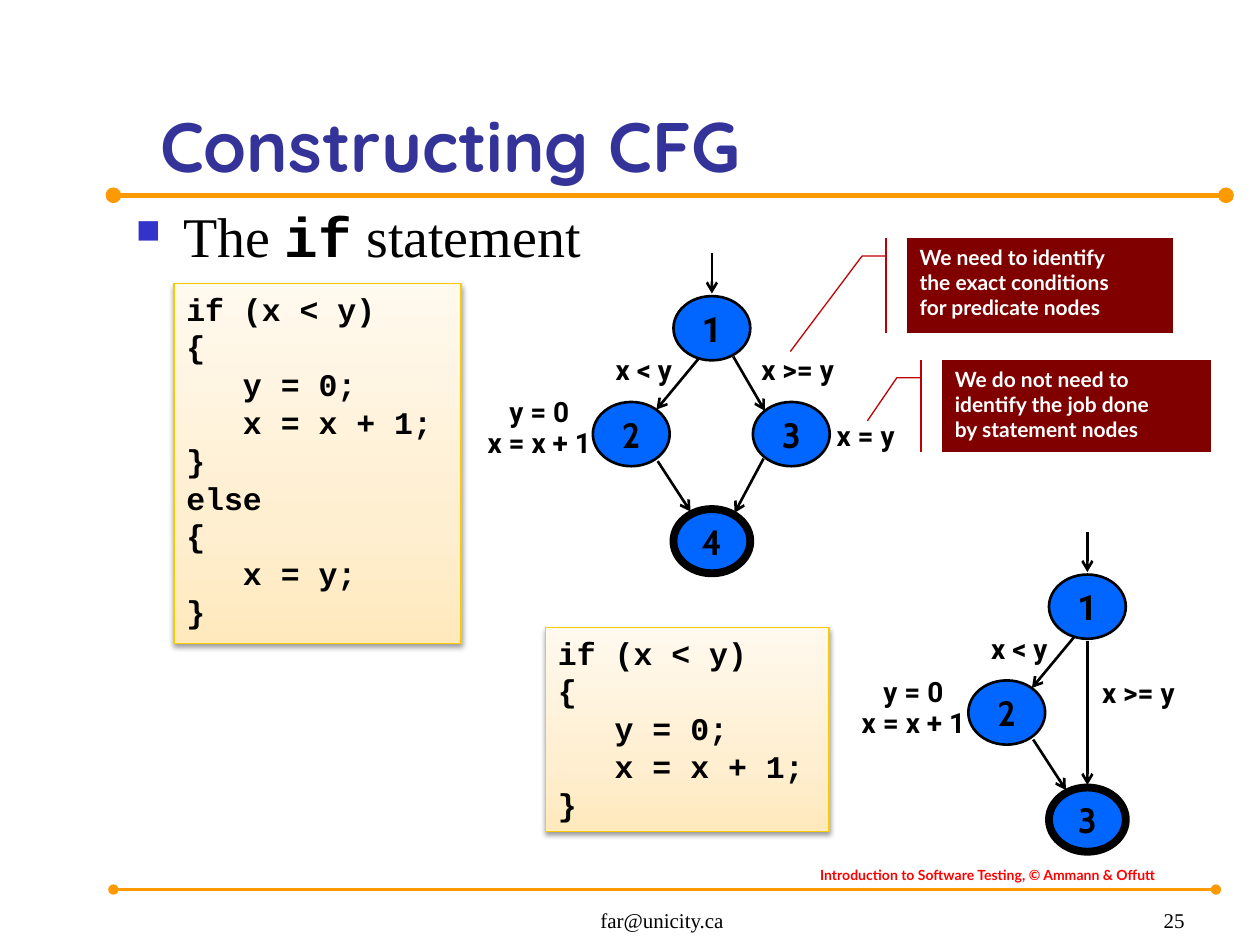
import copy
import pptx
import pptx.util
import pptx.dml.color
import pptx.enum.shapes
import pptx.enum.text
import pptx.oxml
import pptx.oxml.ns

Inches, Pt = pptx.util.Inches, pptx.util.Pt
SHAPE = pptx.enum.shapes.MSO_SHAPE
ALIGN = pptx.enum.text.PP_ALIGN
ANCHOR = pptx.enum.text.MSO_ANCHOR
qn = pptx.oxml.ns.qn
NAMESPACE = 'xmlns:a="http://schemas.openxmlformats.org/drawingml/2006/main"'

COLORS = {
    "title": "333399", "bullet": "3333CC", "rule": "FF9900", "text": "000000",
    "node": "0066FF", "code_line": "FACB00", "callout": "800000",
    "callout_line": "C00000", "callout_text": "FFFFFF", "credit": "FF0000",
}
CODE_GRADIENT = [(0, "FFE9BD"), (0.35, "FFEFD1"), (1, "FFF9EE")]

TITLE = "Constructing CFG"
BULLET_RUNS = [("The ", "Times New Roman", False), ("if", "Courier New", True),
               (" statement", "Times New Roman", False)]
RULES = [(0.9, 9.73, 1.55, 3), (0.9, 9.65, 7.06, 1.5)]

IF_LINES = ["if (x < y)", "{", "   y = 0;", "   x = x + 1;", "}"]
ELSE_LINES = ["else", "{", "   x = y;", "}"]
CODE_BOXES = [
    ((1.38, 2.25, 2.28, 2.86), IF_LINES + ELSE_LINES),
    ((4.33, 4.98, 2.25, 1.62), IF_LINES),
]

NODE_WIDTH, NODE_HEIGHT = 0.61, 0.51
NODE_OFFSETS = {"top": (0, 0), "left": (-0.64, 0.84), "right": (0.63, 0.84),
                "bottom": (0, 1.69)}
EDGE_OFFSETS = {
    "entry": ((0, -0.34), (0, -0.02)),
    "top-left": ((-0.1, 0.49), (-0.44, 0.9)),
    "top-right": ((0.17, 0.48), (0.42, 0.91)),
    "left-bottom": ((-0.43, 1.31), (-0.17, 1.71)),
    "right-bottom": ((0.41, 1.29), (0.18, 1.72)),
    "top-bottom": ((0, 0.53), (0, 1.67)),
}
GRAPHS = [
    {"origin": (5.65, 2.35),
     "nodes": {"top": "1", "left": "2", "right": "3", "bottom": "4"},
     "edges": ["entry", "top-left", "top-right", "left-bottom", "right-bottom"],
     "labels": [(["x >= y"], 0.2, 0.4, 0.96), (["x < y"], -0.95, 0.4, 0.82),
                (["x = y"], 0.81, 0.92, 0.82),
                (["y = 0", "x = x + 1"], -1.91, 0.85, 1.08)]},
    {"origin": (8.63, 4.56),
     "nodes": {"top": "1", "left": "2", "bottom": "3"},
     "edges": ["entry", "top-left", "left-bottom", "top-bottom"],
     "labels": [(["x >= y"], -0.06, 0.75, 0.93), (["x < y"], -0.95, 0.4, 0.82),
                (["y = 0", "x = x + 1"], -1.95, 0.86, 1.14)]},
]

CALLOUTS = [
    ((7.2, 1.89, 2.11, 0.75), (1.2, -0.44),
     ["We need to identify", "the exact conditions", "for predicate nodes"]),
    ((7.48, 2.86, 2.13, 0.73), (0.66, -0.28),
     ["We do not need to", "identify the job done", "by statement nodes"]),
]
CREDIT = "Introduction to Software Testing, © Ammann & Offutt"
FOOTERS = [
    ("far@unicity.ca", (3.67, 7.01, 3.17, 0.44), ALIGN.CENTER),
    ("25", (7.42, 7.01, 2.08, 0.44), ALIGN.RIGHT),
]


def rgb(name):
    return pptx.dml.color.RGBColor.from_string(COLORS.get(name, name))


def style_run(run, font, size, color, bold):
    run.font.name = font
    run.font.size = Pt(size)
    run.font.color.rgb = rgb(color)
    run.font.bold = bold


def write(shape, lines, font, size, color="text", bold=True, align=ALIGN.LEFT,
          anchor=ANCHOR.TOP, wrap=True):
    frame = shape.text_frame
    frame.text = "\n".join(lines)
    frame.word_wrap = wrap
    frame.vertical_anchor = anchor
    for paragraph in frame.paragraphs:
        paragraph.alignment = align
        for run in paragraph.runs:
            style_run(run, font, size, color, bold)


def add_text(slide, box, lines, *style, **options):
    shape = slide.shapes.add_textbox(*map(Inches, box))
    write(shape, lines, *style, **options)
    return shape


def add_box(slide, kind, box, line_color, line_width, fill=None):
    shape = slide.shapes.add_shape(kind, *map(Inches, box))
    shape.shadow.inherit = False
    shape.line.color.rgb = rgb(line_color)
    shape.line.width = Pt(line_width)
    if fill:
        shape.fill.solid()
        shape.fill.fore_color.rgb = rgb(fill)
    return shape


def add_line(slide, start, end, color, width, head=None, tail=None):
    line = slide.shapes.add_connector(
        pptx.enum.shapes.MSO_CONNECTOR.STRAIGHT, *map(Inches, (*start, *end)))
    line.line.color.rgb = rgb(color)
    line.line.width = Pt(width)
    outline = line.line._get_or_add_ln()
    for tag, kind in (("headEnd", head), ("tailEnd", tail)):
        if kind:
            outline.append(pptx.oxml.parse_xml(f'<a:{tag} {NAMESPACE} type="{kind}"/>'))
    line._element.spPr.append(pptx.oxml.parse_xml(f"<a:effectLst {NAMESPACE}/>"))


def add_code(slide, box, lines):
    shape = add_box(slide, SHAPE.RECTANGLE, box, "code_line", 0.75)
    shape.fill.gradient()
    shape.fill.gradient_angle = 90
    stop_list = shape._element.spPr.find(qn("a:gradFill")).find(qn("a:gsLst"))
    stop_list.append(copy.deepcopy(stop_list[0]))
    for stop, (position, color) in zip(shape.fill.gradient_stops, CODE_GRADIENT):
        stop.position = position
        stop.color.rgb = rgb(color)
    shape._element.spPr.find(qn("a:effectLst")).append(pptx.oxml.parse_xml(
        f'<a:outerShdw {NAMESPACE} blurRad="{Pt(3.1)}" dist="{Pt(1.6)}" dir="5400000" '
        'rotWithShape="0"><a:srgbClr val="000000"><a:alpha val="38000"/></a:srgbClr>'
        '</a:outerShdw>'))
    write(shape, lines, "Courier New", 18)


def add_graph(slide, graph):
    x, y = graph["origin"]
    for place, number in graph["nodes"].items():
        dx, dy = NODE_OFFSETS[place]
        box = (x + dx - NODE_WIDTH / 2, y + dy, NODE_WIDTH, NODE_HEIGHT)
        node = add_box(slide, SHAPE.OVAL, box, "text",
                       4.5 if place == "bottom" else 1.5, "node")
        write(node, [number], "Roboto" if place == "top" else "Cabin", 20,
              align=ALIGN.CENTER, anchor=ANCHOR.MIDDLE, wrap=False)
        frame = node.text_frame
        frame.margin_left = frame.margin_right = frame.margin_top = frame.margin_bottom = 0
    for edge in graph["edges"]:
        start, end = [(x + dx, y + dy) for dx, dy in EDGE_OFFSETS[edge]]
        add_line(slide, start, end, "text", 1.5, tail="arrow")
    for lines, dx, dy, width in graph["labels"]:
        height = 0.37 if len(lines) == 1 else 0.51
        label = add_text(slide, (x + dx, y + dy, width, height), lines,
                         "Roboto", 16, align=ALIGN.CENTER)
        for paragraph in label.text_frame.paragraphs:
            paragraph.space_before = Pt(8)
            if len(lines) > 1:
                paragraph.line_spacing = 0.5


def add_bullet(slide):
    shape = slide.shapes.add_textbox(*map(Inches, (0.98, 1.55, 8.75, 0.73)))
    shape.text_frame.word_wrap = True
    paragraph = shape.text_frame.paragraphs[0]
    paragraph.space_before = Pt(6.4)
    for text, font, bold in BULLET_RUNS:
        run = paragraph.add_run()
        run.text = text
        style_run(run, font, 32, "text", bold)
    properties = paragraph._p.get_or_add_pPr()
    properties.set("marL", str(Inches(0.38)))
    properties.set("indent", str(Inches(-0.38)))
    for xml in (f'<a:buClr {NAMESPACE}><a:srgbClr val="{COLORS["bullet"]}"/></a:buClr>',
                f'<a:buSzPct {NAMESPACE} val="60000"/>',
                f'<a:buChar {NAMESPACE} char="■"/>'):
        properties.append(pptx.oxml.parse_xml(xml))


def main():
    presentation = pptx.Presentation()
    presentation.slide_width, presentation.slide_height = Inches(10), Inches(7.5)
    slide = presentation.slides.add_slide(presentation.slide_layouts[5])
    title = slide.shapes.title
    title.left, title.top, title.width, title.height = map(Inches, (1.17, 0.28, 8.61, 1.25))
    write(title, [TITLE], "Quicksand", 40, "title", anchor=ANCHOR.BOTTOM)
    for left, right, y, width in RULES:
        add_line(slide, (left, y), (right, y), "rule", width, "oval", "oval")
    add_bullet(slide)
    for text, box, align in FOOTERS:
        add_text(slide, box, [text], "Times New Roman", 12, bold=False,
                 align=align, anchor=ANCHOR.BOTTOM)
    for box, lines in CODE_BOXES:
        add_code(slide, box, lines)
    for graph in GRAPHS:
        add_graph(slide, graph)
    add_text(slide, (6.41, 6.83, 3.55, 0.24), [CREDIT], "Lato", 8, "credit")
    for box, pointer, lines in CALLOUTS:
        callout = add_box(slide, SHAPE.LINE_CALLOUT_2_ACCENT_BAR, box,
                          "callout_line", 0.75, "callout")
        for index, value in enumerate((0.19, -0.08, 0.19, -0.17, *pointer)):
            callout.adjustments[index] = value
        write(callout, lines, "Lato", 12, "callout_text", wrap=False)
    presentation.save("out.pptx")


if __name__ == "__main__":
    main()
